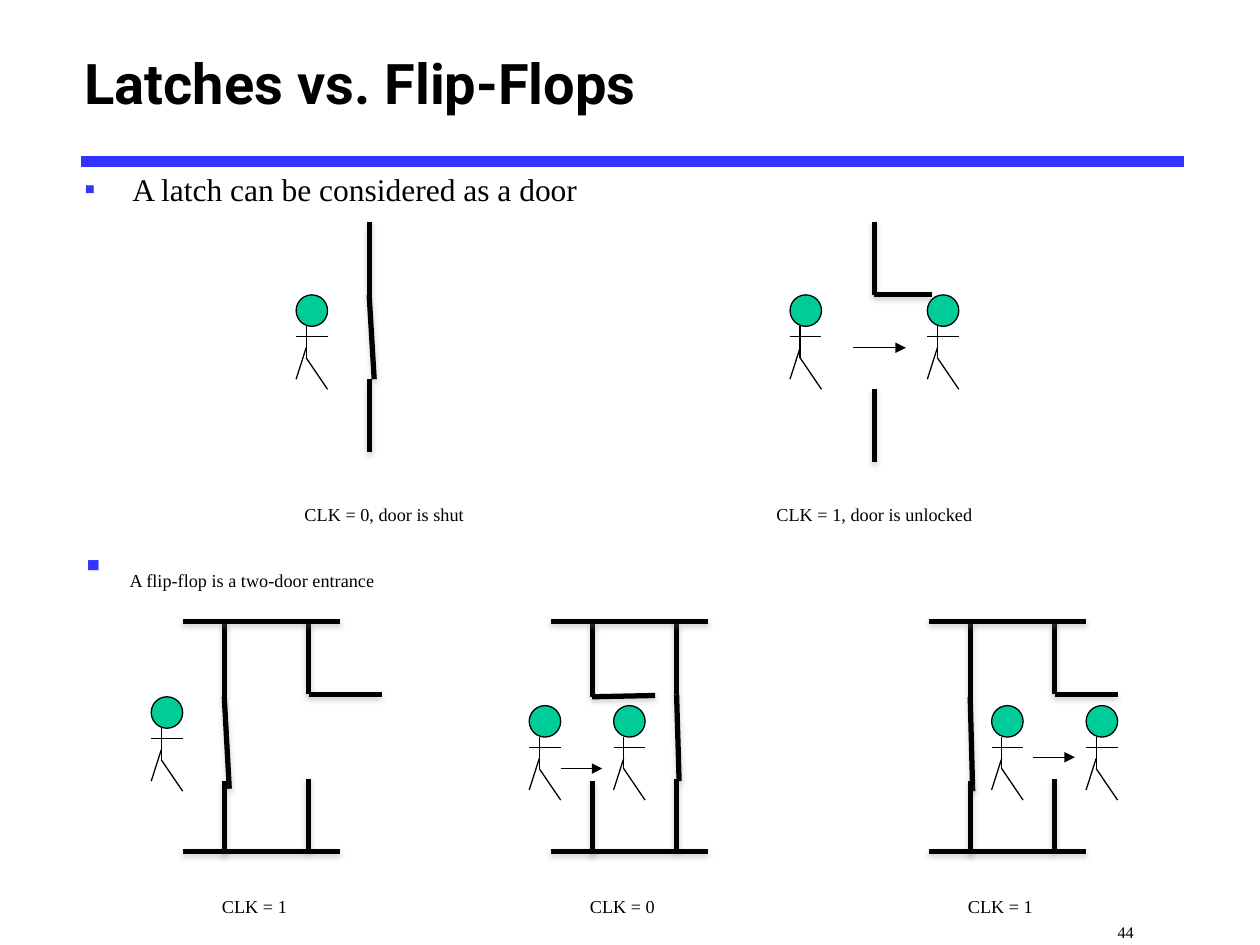
"""Build the slide that explains latches and flip-flops with doors."""
from typing import NamedTuple

from lxml.etree import SubElement
from pptx import Presentation
from pptx.dml.color import RGBColor
from pptx.enum.shapes import MSO_CONNECTOR as Connector, MSO_SHAPE as Preset
from pptx.enum.text import MSO_ANCHOR as Anchor, MSO_AUTO_SIZE as AutoSize, PP_ALIGN as Align
from pptx.oxml.ns import qn
from pptx.util import Inches, Pt

BLACK, BLUE, GREEN, GRAY = "000000", "3333FF", "00CC99", "808080"
SERIF = "Times New Roman"
WALL_LENGTH = 0.58
SHUT_GAP = 0.67


class Door(NamedTuple):
    x: float
    top: float
    swing_x: float
    swing_y: float
    gap: float = SHUT_GAP


class Person(NamedTuple):
    x: float
    y: float


class Arrow(NamedTuple):
    x: float
    y: float
    length: float


class Caption(NamedTuple):
    text: str
    center: float
    top: float
    width: float


class Entrance(NamedTuple):
    x: float
    clock: int
    left_swing: tuple[float, float]
    right_swing: tuple[float, float]


DOORS = [Door(2.93, 1.76, 0.04, 0.67), Door(6.94, 1.76, 0.46, 0, 0.75)]
ENTRANCES = [
    Entrance(1.78, 1, (0.04, 0.73), (0.58, 0)),
    Entrance(4.7, 0, (0.5, -0.01), (0.02, 0.69)),
    Entrance(7.7, 1, (0.02, 0.75), (0.5, 0)),
]
PEOPLE = [
    Person(2.35, 2.34), Person(6.27, 2.34), Person(7.36, 2.34), Person(1.2, 5.53),
    Person(4.2, 5.6), Person(4.87, 5.6), Person(7.87, 5.6), Person(8.62, 5.6),
]
ARROWS = [Arrow(6.77, 2.76, 0.42), Arrow(4.45, 6.1, 0.33), Arrow(8.2, 6.01, 0.33)]
CAPTIONS = [
    Caption("CLK = 0, door is shut", 3.05, 3.78, 1.67),
    Caption("CLK = 1, door is unlocked", 6.94, 3.78, 2.01),
]


def color(value: str) -> RGBColor:
    return RGBColor.from_string(value)


def place(shape, left: float, top: float, width: float, height: float) -> None:
    shape.left, shape.top = Inches(left), Inches(top)
    shape.width, shape.height = Inches(width), Inches(height)


def write_text(shape, text: str, *, size: float = 18, font: str = SERIF, bold: bool = False,
               align=Align.LEFT, anchor=Anchor.TOP, wrap: bool = True,
               lowered: bool = False, bullet: bool = False) -> None:
    frame = shape.text_frame
    frame.auto_size = AutoSize.NONE
    frame.word_wrap = wrap
    frame.vertical_anchor = anchor
    paragraph = frame.paragraphs[0]
    paragraph.alignment = align
    run = paragraph.add_run()
    run.text = text
    run.font.size, run.font.name, run.font.bold = Pt(size), font, bold
    run.font.color.rgb = color(BLACK)
    if lowered:
        run._r.get_or_add_rPr().set("baseline", "-25000")
    if bullet:
        paragraph.space_before = Pt(size * 0.2)
        properties = paragraph._p.get_or_add_pPr()
        properties.set("marL", str(Inches(0.38)))
        properties.set("indent", str(Inches(-0.38)))
        SubElement(SubElement(properties, qn("a:buClr")), qn("a:srgbClr"), val=BLUE)
        SubElement(properties, qn("a:buChar"), char="▪")


def draw_line(slide, x1: float, y1: float, x2: float, y2: float, *, width: float = 0.75,
              line_color: str = BLACK, shadow: bool = False, arrow: bool = False) -> None:
    connector = slide.shapes.add_connector(
        Connector.STRAIGHT, Inches(x1), Inches(y1), Inches(x2), Inches(y2))
    connector.line.width = Pt(width)
    connector.line.color.rgb = color(line_color)
    if arrow:
        SubElement(connector.line._get_or_add_ln(), qn("a:tailEnd"), type="triangle")
    effects = SubElement(connector._element.spPr, qn("a:effectLst"))
    if shadow:
        outer = SubElement(effects, qn("a:outerShdw"), blurRad=str(Pt(3.1)),
                           dist=str(Pt(1.8)), dir="5400000", rotWithShape="0")
        tint = SubElement(outer, qn("a:srgbClr"), val=GRAY)
        SubElement(tint, qn("a:alpha"), val="35000")


def draw_wall(slide, x1: float, y1: float, x2: float, y2: float) -> None:
    draw_line(slide, x1, y1, x2, y2, width=3, shadow=True)


def draw_door(slide, door: Door) -> None:
    hinge = door.top + WALL_LENGTH
    lower = hinge + door.gap
    draw_wall(slide, door.x, door.top, door.x, hinge)
    draw_wall(slide, door.x, hinge, door.x + door.swing_x, hinge + door.swing_y)
    draw_wall(slide, door.x, lower, door.x, lower + WALL_LENGTH)


def draw_entrance(slide, entrance: Entrance) -> None:
    x = entrance.x
    draw_door(slide, Door(x, 4.95, *entrance.left_swing))
    draw_door(slide, Door(x + 0.67, 4.93, *entrance.right_swing))
    for y in (4.93, 6.76):
        draw_wall(slide, x - 0.33, y, x + 0.92, y)
    draw_caption(slide, Caption(f"CLK = {entrance.clock}", x + 0.24, 6.89, 0.8))


def draw_person(slide, person: Person) -> None:
    x, y = person
    head = slide.shapes.add_shape(Preset.OVAL, Inches(x), Inches(y), Inches(0.25), Inches(0.25))
    head.shadow.inherit = False
    head.fill.solid()
    head.fill.fore_color.rgb = color(GREEN)
    head.line.color.rgb = color(BLACK)
    head.line.width = Pt(0.75)
    spine = x + 0.08
    draw_line(slide, spine, y + 0.25, spine, y + 0.5)
    draw_line(slide, x, y + 0.33, x + 0.25, y + 0.33)
    draw_line(slide, spine, y + 0.42, x, y + 0.67)
    draw_line(slide, spine, y + 0.5, x + 0.25, y + 0.75)


def add_box(slide, left: float, top: float, width: float, height: float):
    return slide.shapes.add_textbox(Inches(left), Inches(top), Inches(width), Inches(height))


def draw_caption(slide, caption: Caption) -> None:
    box = add_box(slide, caption.center - caption.width / 2, caption.top, caption.width, 0.3)
    write_text(box, caption.text, align=Align.CENTER, wrap=False, lowered=True)


def main() -> None:
    presentation = Presentation()
    presentation.slide_width, presentation.slide_height = Inches(10), Inches(7.5)
    slide = presentation.slides.add_slide(presentation.slide_layouts[1])
    title, body = slide.placeholders
    place(title, 0.57, 0.09, 8.72, 1.12)
    write_text(title, "Latches vs. Flip-Flops", size=32, font="Roboto", bold=True,
               anchor=Anchor.MIDDLE)
    place(body, 0.57, 1.3, 8.88, 2.6)
    write_text(body, "A latch can be considered as a door", bullet=True)
    draw_line(slide, 0.64, 1.28, 9.4, 1.28, width=6, line_color=BLUE)

    for door in DOORS:
        draw_door(slide, door)
    for caption in CAPTIONS:
        draw_caption(slide, caption)
    for entrance in ENTRANCES:
        draw_entrance(slide, entrance)
    for person in PEOPLE:
        draw_person(slide, person)
    for x, y, length in ARROWS:
        draw_line(slide, x, y, x + length, y, arrow=True)

    write_text(add_box(slide, 0.55, 4.3, 8.88, 2.67), "A flip-flop is a two-door entrance",
               lowered=True, bullet=True)
    page_number = add_box(slide, 7.9, 7.12, 2.1, 0.38)
    page_number.text_frame.margin_left = Inches(0.97)
    write_text(page_number, "44", size=16, lowered=True)
    presentation.save("out.pptx")


if __name__ == "__main__":
    main()
